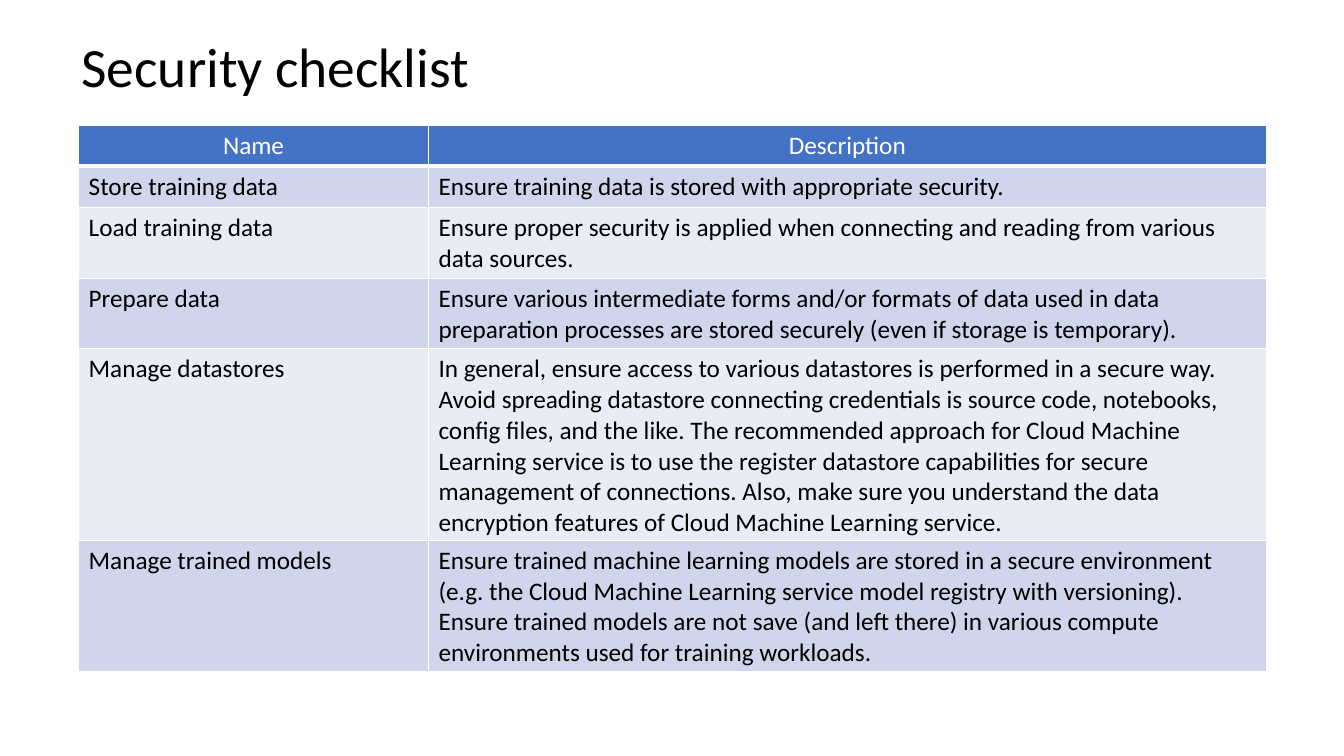
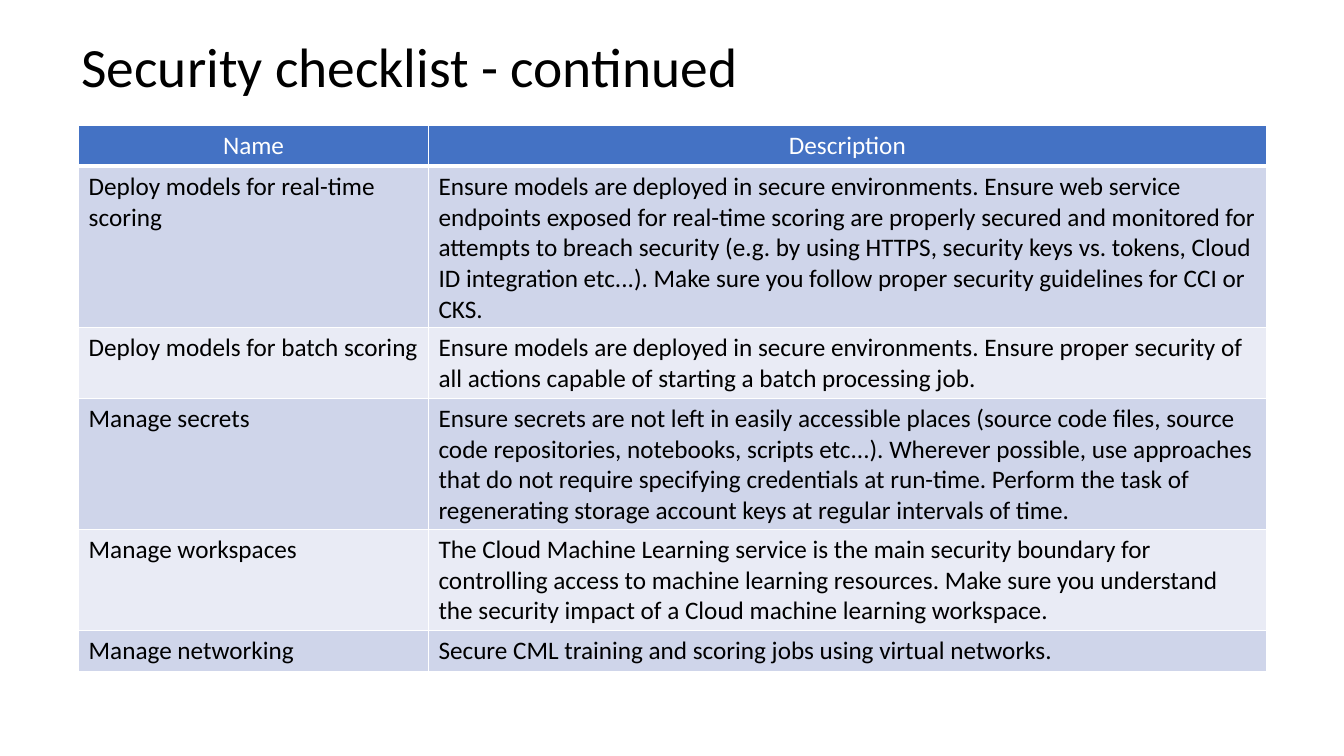
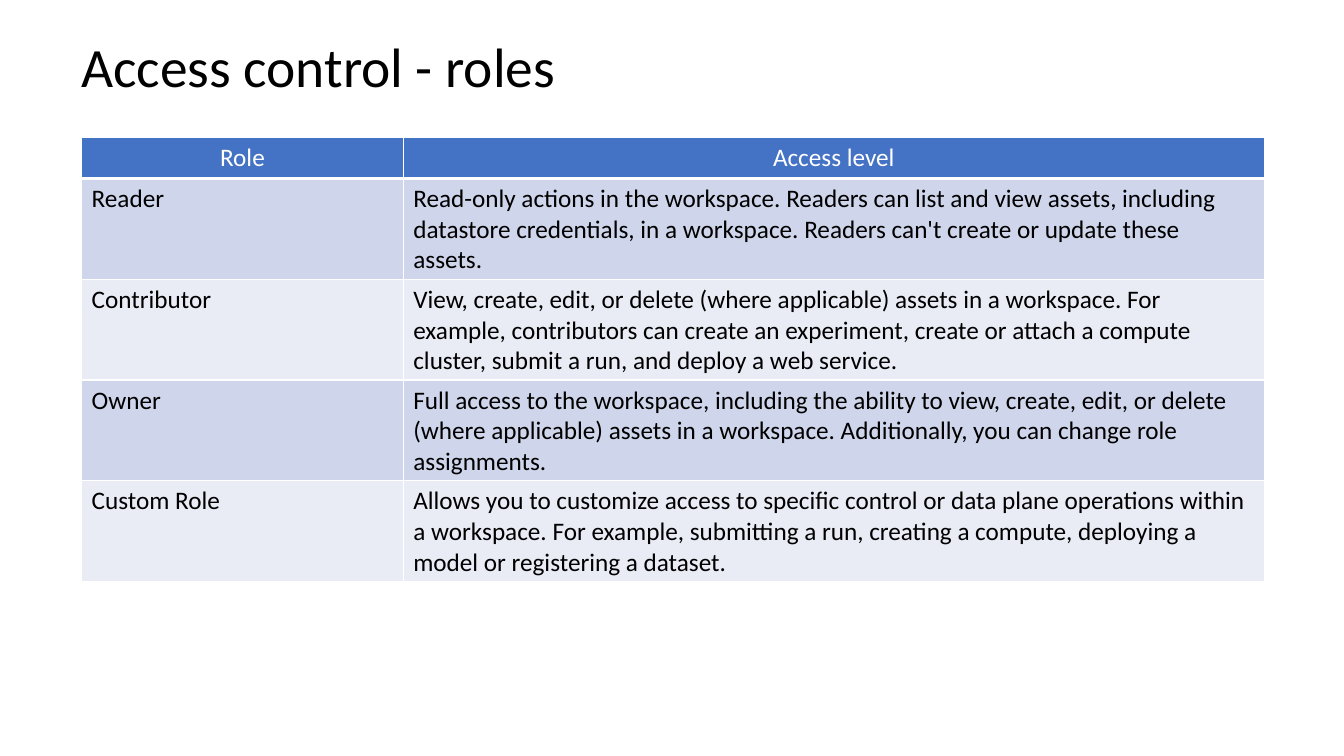
from lxml.etree import SubElement
from pptx import Presentation
from pptx.dml.color import RGBColor
from pptx.enum.text import MSO_ANCHOR, PP_ALIGN
from pptx.oxml.ns import qn
from pptx.util import Inches, Pt

BLACK = RGBColor(0x00, 0x00, 0x00)
WHITE = RGBColor(0xFF, 0xFF, 0xFF)
BLUE = RGBColor(0x44, 0x72, 0xC4)
BANDS = [RGBColor(0xCF, 0xD5, 0xEA), RGBColor(0xE9, 0xEB, 0xF5)]
FONT = "Calibri"
ROW = 0.41

TITLE_BOX = (0.71, 0.38, 11.91, 0.62)
CHECK_BOX = (0.78, 1.24, 3.47, 8.31)
ROLE_BOX = (0.81, 1.36, 3.19, 8.54)

CHECK_HEAD = ("Name", "Description")
ROLE_HEAD = ("Role", "Access level")

STORAGE = [
    ("Store training data",
     "Ensure training data is stored with appropriate security."),
    ("Load training data",
     "Ensure proper security is applied when connecting and reading from "
     "various data sources."),
    ("Prepare data",
     "Ensure various intermediate forms and/or formats of data used in data "
     "preparation processes are stored securely (even if storage is temporary)."),
    ("Manage datastores",
     "In general, ensure access to various datastores is performed in a secure "
     "way. Avoid spreading datastore connecting credentials is source code, "
     "notebooks, config files, and the like. The recommended approach for Cloud "
     "Machine Learning service is to use the register datastore capabilities for "
     "secure management of connections. Also, make sure you understand the data "
     "encryption features of Cloud Machine Learning service."),
    ("Manage trained models",
     "Ensure trained machine learning models are stored in a secure environment "
     "(e.g. the Cloud Machine Learning service model registry with versioning). "
     "Ensure trained models are not save (and left there) in various compute "
     "environments used for training workloads."),
]

DEPLOY = [
    ("Deploy models for real-time scoring",
     "Ensure models are deployed in secure environments. Ensure web service "
     "endpoints exposed for real-time scoring are properly secured and monitored "
     "for attempts to breach security (e.g. by using HTTPS, security keys vs. "
     "tokens, Cloud ID integration etc...). Make sure you follow proper security "
     "guidelines for CCI or CKS."),
    ("Deploy models for batch scoring",
     "Ensure models are deployed in secure environments. Ensure proper security "
     "of all actions capable of starting a batch processing job."),
    ("Manage secrets",
     "Ensure secrets are not left in easily accessible places (source code files, "
     "source code repositories, notebooks, scripts etc...). Wherever possible, use "
     "approaches that do not require specifying credentials at run-time. Perform "
     "the task of regenerating storage account keys at regular intervals of time."),
    ("Manage workspaces",
     "The Cloud Machine Learning service is the main security boundary for "
     "controlling access to machine learning resources. Make sure you understand "
     "the security impact of a Cloud machine learning workspace."),
    ("Manage networking",
     "Secure CML training and scoring jobs using virtual networks."),
]

ROLES = [
    ("Reader",
     "Read-only actions in the workspace. Readers can list and view assets, "
     "including datastore credentials, in a workspace. Readers can't create or "
     "update these assets."),
    ("Contributor",
     "View, create, edit, or delete (where applicable) assets in a workspace. For "
     "example, contributors can create an experiment, create or attach a compute "
     "cluster, submit a run, and deploy a web service."),
    ("Owner",
     "Full access to the workspace, including the ability to view, create, edit, "
     "or delete (where applicable) assets in a workspace. Additionally, you can "
     "change role assignments."),
    ("Custom Role",
     "Allows you to customize access to specific control or data plane operations "
     "within a workspace. For example, submitting a run, creating a compute, "
     "deploying a model or registering a dataset."),
]

SLIDES = [
    ("Security checklist", CHECK_BOX, CHECK_HEAD, STORAGE),
    ("Security checklist - continued", CHECK_BOX, CHECK_HEAD, DEPLOY),
    ("Access control - roles", ROLE_BOX, ROLE_HEAD, ROLES),
]


def write(frame, text, size=18, color=BLACK, align=PP_ALIGN.LEFT, space=1.0):
    para = frame.paragraphs[0]
    para.alignment = align
    para.line_spacing = space
    run = para.add_run()
    run.text = text
    font = run.font
    font.name, font.size, font.bold = FONT, Pt(size), False
    font.color.rgb = color


def add_title(slide, text, box):
    frame = slide.shapes.add_textbox(*map(Inches, box)).text_frame
    frame.word_wrap = True
    frame.vertical_anchor = MSO_ANCHOR.MIDDLE
    write(frame, text, size=39.6, space=0.9)


def add_edges(cell, base):
    props = cell._tc.get_or_add_tcPr()
    for side, width in (("L", 1), ("R", 1), ("T", 1), ("B", base)):
        line = SubElement(props, qn("a:ln" + side), w=str(Pt(width)))
        fill = SubElement(line, qn("a:solidFill"))
        SubElement(fill, qn("a:srgbClr"), val=str(WHITE))


def add_grid(slide, box, head, body):
    left, top, *widths = box
    rows = [head, *body]
    table = slide.shapes.add_table(
        len(rows), len(widths), Inches(left), Inches(top),
        Inches(sum(widths)), Inches(ROW * len(rows))).table
    for column, width in zip(table.columns, widths):
        column.width = Inches(width)
    for r, row in enumerate(rows):
        table.rows[r].height = Inches(ROW)
        for c, text in enumerate(row):
            cell = table.cell(r, c)
            add_edges(cell, 1 if r else 3)
            cell.fill.solid()
            cell.fill.fore_color.rgb = BANDS[(r - 1) % 2] if r else BLUE
            style = {} if r else {"color": WHITE, "align": PP_ALIGN.CENTER}
            write(cell.text_frame, text, **style)


def main():
    deck = Presentation()
    deck.slide_width, deck.slide_height = Inches(13.33), Inches(7.5)
    for title, box, head, body in SLIDES:
        slide = deck.slides.add_slide(deck.slide_layouts[6])
        add_title(slide, title, TITLE_BOX)
        add_grid(slide, box, head, body)
    deck.save("out.pptx")


if __name__ == "__main__":
    main()
